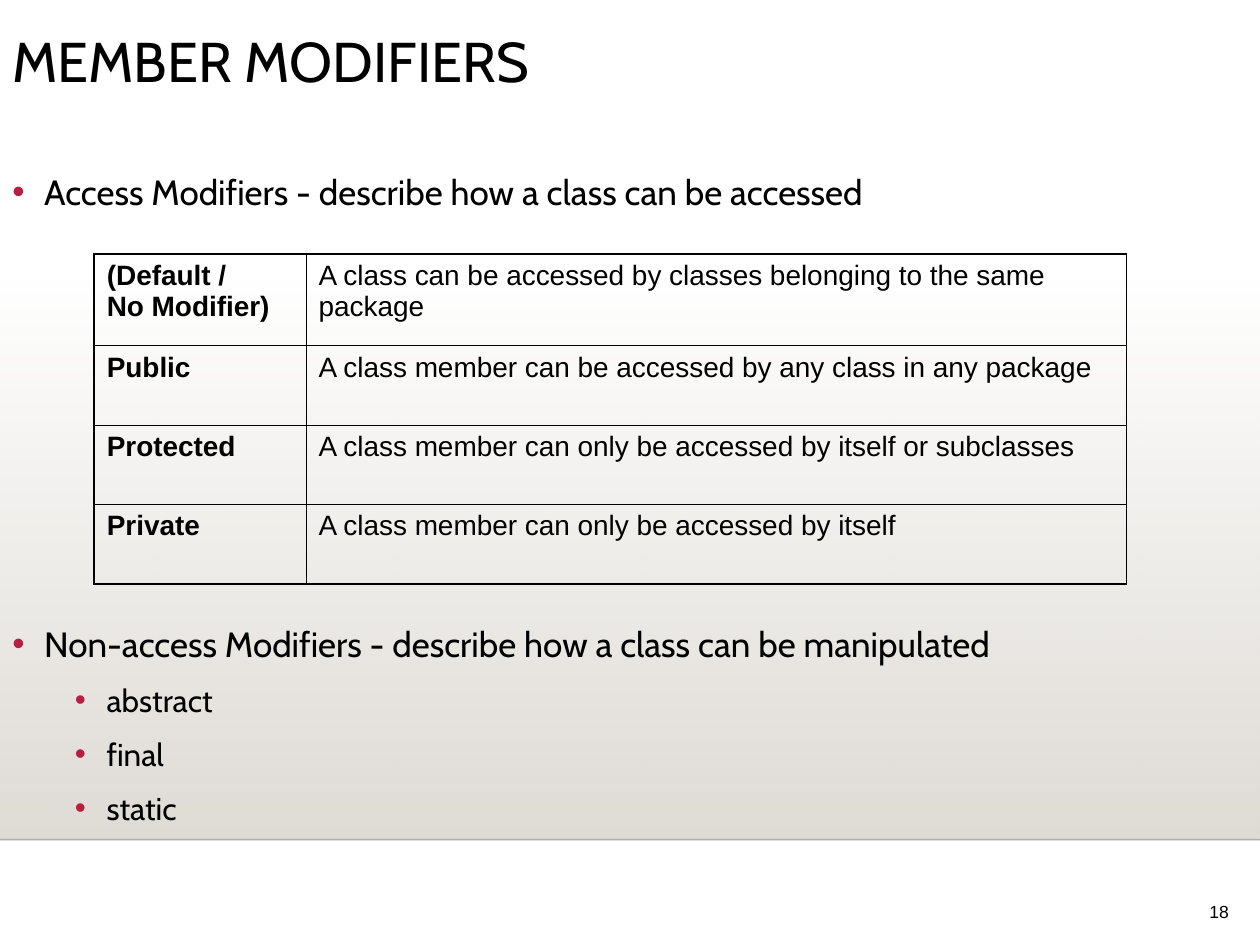
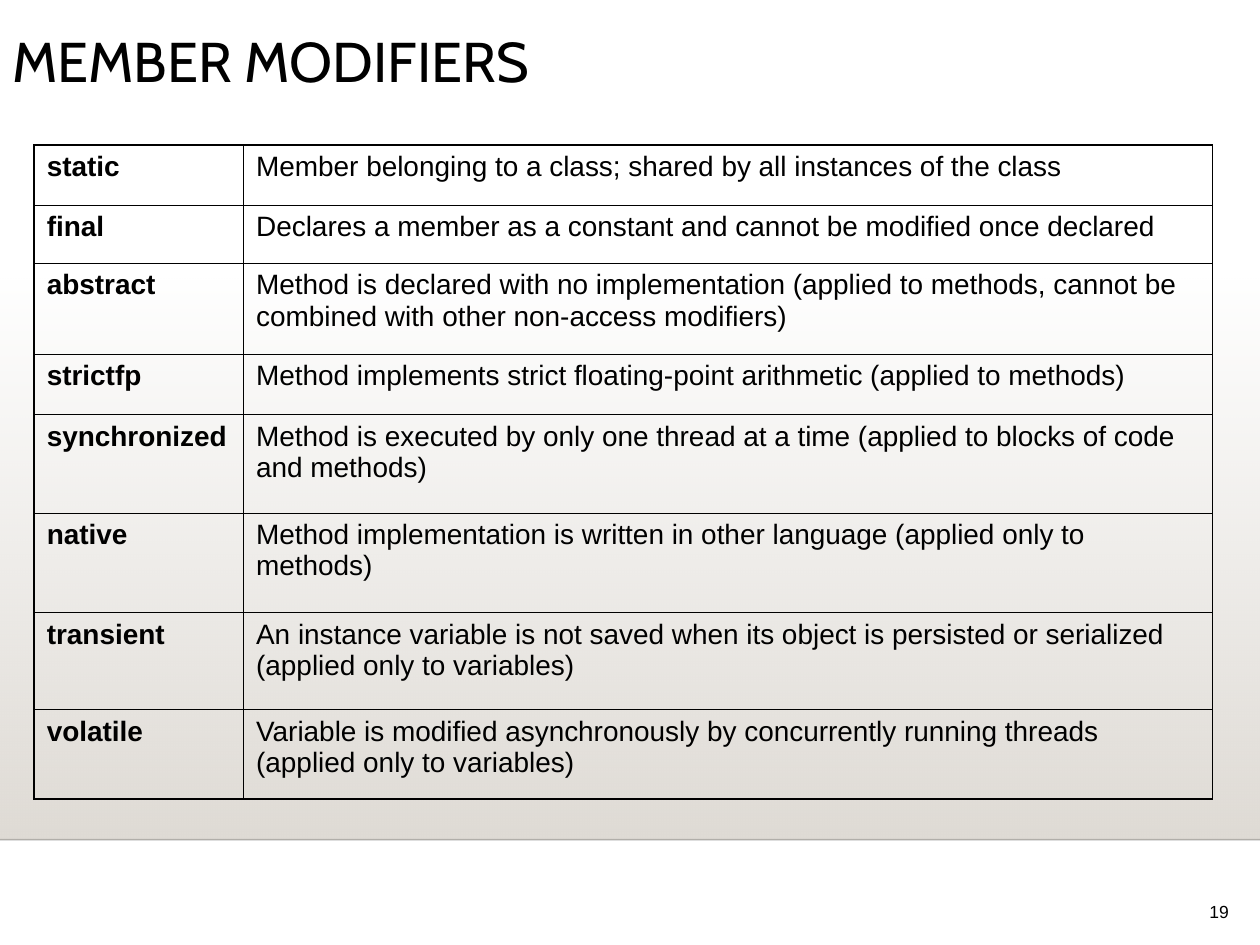
from dataclasses import dataclass

from lxml.etree import SubElement
from pptx import Presentation
from pptx.dml.color import RGBColor
from pptx.enum.shapes import MSO_CONNECTOR, MSO_SHAPE
from pptx.enum.text import MSO_ANCHOR, PP_ALIGN
from pptx.oxml import parse_xml
from pptx.oxml.ns import nsdecls, qn
from pptx.slide import Slide
from pptx.table import _Cell
from pptx.text.text import TextFrame, _Paragraph
from pptx.util import Cm, Length, Pt


@dataclass(frozen=True)
class Theme:
    text: str = "000000"
    bullet: str = "B71E42"
    band: str = "DFDBD5"
    rule: str = "000001"
    background: str = "FFFFFF"
    heading_font: str = "Cabin"
    table_font: str = "Arial"
    title_size: Length = Pt(32)
    cell_size: Length = Pt(16)
    number_size: Length = Pt(10)
    outer_border: Length = Pt(1.08)
    inner_border: Length = Pt(0.45)


@dataclass(frozen=True)
class BulletLevel:
    size: Length
    indent: Length
    space_before: Length


@dataclass(frozen=True)
class Frame:
    left: Length
    top: Length
    width: Length
    height: Length


@dataclass(frozen=True)
class TableRow:
    height: Length
    modifier: str
    meaning: str


@dataclass(frozen=True)
class ModifierTable:
    left: Length
    top: Length
    column_widths: tuple[Length, Length]
    rows: tuple[TableRow, ...]


THEME = Theme()
PAGE_WIDTH, PAGE_HEIGHT = Cm(25.4), Cm(19.05)
BAND_TOP, BAND_BOTTOM = Cm(5.6), Cm(16.93)
HANGING = Cm(0.64)
LEVELS = (
    BulletLevel(Pt(20), Cm(0.64), Pt(10)),
    BulletLevel(Pt(18), Cm(1.9), Pt(5)),
)

ACCESS_TABLE = ModifierTable(Cm(1.9), Cm(5.12), (Cm(4.27), Cm(16.54)), (
    TableRow(Cm(1.85), "(Default / \nNo Modifier)",
             "A class can be accessed by classes belonging to the same package"),
    TableRow(Cm(1.6), "Public", "A class member can be accessed by any class in any package"),
    TableRow(Cm(1.6), "Protected", "A class member can only be accessed by itself or subclasses"),
    TableRow(Cm(1.6), "Private", "A class member can only be accessed by itself"),
))

NON_ACCESS_TABLE = ModifierTable(Cm(0.69), Cm(2.92), (Cm(4.22), Cm(19.53)), (
    TableRow(Cm(1.22), "static",
             "Member belonging to a class; shared by all instances of the class"),
    TableRow(Cm(1.17), "final",
             "Declares a member as a constant and cannot be modified once declared"),
    TableRow(Cm(1.83), "abstract",
             "Method is declared with no implementation (applied to methods, "
             "cannot be combined with other non-access modifiers)"),
    TableRow(Cm(1.22), "strictfp",
             "Method implements strict floating-point arithmetic (applied to methods)"),
    TableRow(Cm(1.98), "synchronized",
             "Method is executed by only one thread at a time "
             "(applied to blocks of code and methods)"),
    TableRow(Cm(2.01), "native",
             "Method implementation is written in other language (applied only to methods)"),
    TableRow(Cm(1.96), "transient",
             "An instance variable is not saved when its object is persisted "
             "or serialized (applied only to variables)"),
    TableRow(Cm(1.8), "volatile",
             "Variable is modified asynchronously by concurrently running threads "
             "(applied only to variables)"),
))


# Text
def add_span(para: _Paragraph, text: str, font: str, size: Length, bold: bool = False) -> None:
    for index, line in enumerate(text.split("\n")):
        if index:
            para.add_line_break()
        span = para.add_run()
        span.text = line
        span.font.name = font
        span.font.size = size
        span.font.bold = bold
        span.font.color.rgb = RGBColor.from_string(THEME.text)


def add_text_box(page: Slide, frame: Frame, anchor: MSO_ANCHOR = MSO_ANCHOR.TOP) -> TextFrame:
    box = page.shapes.add_textbox(frame.left, frame.top, frame.width, frame.height)
    box.text_frame.word_wrap = True
    box.text_frame.vertical_anchor = anchor
    return box.text_frame


def add_bullets(page: Slide, frame: Frame, items: tuple[tuple[int, str], ...]) -> None:
    body = add_text_box(page, frame)
    for index, (depth, text) in enumerate(items):
        level = LEVELS[depth]
        para = body.add_paragraph() if index else body.paragraphs[0]
        para.level = depth
        para.line_spacing = 1.2
        para.space_before = level.space_before
        properties = para._p.get_or_add_pPr()
        properties.set("marL", str(level.indent))
        properties.set("indent", str(-HANGING))
        colour = SubElement(properties, qn("a:buClr"))
        SubElement(colour, qn("a:srgbClr"), val=THEME.bullet)
        SubElement(properties, qn("a:buFont"), typeface=THEME.table_font)
        SubElement(properties, qn("a:buChar"), char="•")
        add_span(para, text, THEME.heading_font, level.size)


# Shared page furniture
def add_band(page: Slide) -> None:
    band = page.shapes.add_shape(
        MSO_SHAPE.RECTANGLE, 0, BAND_TOP, PAGE_WIDTH, BAND_BOTTOM - BAND_TOP)
    band.shadow.inherit = False
    band.line.fill.background()
    gradient = parse_xml(
        f'<a:gradFill {nsdecls("a")} rotWithShape="1"><a:gsLst>'
        f'<a:gs pos="0"><a:srgbClr val="{THEME.band}"><a:alpha val="0"/></a:srgbClr></a:gs>'
        f'<a:gs pos="100000"><a:srgbClr val="{THEME.band}"/></a:gs>'
        '</a:gsLst><a:lin ang="5400000" scaled="0"/></a:gradFill>')
    band._element.spPr.find(qn("a:prstGeom")).addnext(gradient)


def add_rule(page: Slide) -> None:
    rule = page.shapes.add_connector(
        MSO_CONNECTOR.STRAIGHT, 0, BAND_BOTTOM, PAGE_WIDTH, BAND_BOTTOM)
    rule.line.width = Pt(1)
    rule.line.color.rgb = RGBColor.from_string(THEME.rule)
    properties = rule._element.spPr
    SubElement(next(properties.iter(qn("a:srgbClr"))), qn("a:alpha"), val="20000")
    SubElement(properties, qn("a:effectLst"))


def add_page(deck: Presentation, title: str, number: int) -> Slide:
    page = deck.slides.add_slide(deck.slide_layouts[6])
    page.background.fill.solid()
    page.background.fill.fore_color.rgb = RGBColor.from_string(THEME.background)
    add_band(page)
    add_rule(page)

    number_frame = Frame(Cm(20.32), Cm(17.98), Cm(4.7), Cm(0.74))
    para = add_text_box(page, number_frame, MSO_ANCHOR.BOTTOM).paragraphs[0]
    para.alignment = PP_ALIGN.RIGHT
    add_span(para, str(number), THEME.table_font, THEME.number_size)

    title_frame = Frame(Cm(0), Cm(0.56), Cm(22.66), Cm(2.54))
    para = add_text_box(page, title_frame).paragraphs[0]
    para.line_spacing = 0.9
    add_span(para, title, THEME.heading_font, THEME.title_size)
    return page


# Tables
def set_borders(cell: _Cell, outer_sides: dict[str, bool]) -> None:
    properties = cell._tc.get_or_add_tcPr()
    for side, is_outer in outer_sides.items():
        width = THEME.outer_border if is_outer else THEME.inner_border
        border = SubElement(properties, qn(f"a:ln{side}"), w=str(width))
        fill = SubElement(border, qn("a:solidFill"))
        SubElement(fill, qn("a:srgbClr"), val=THEME.text)


def add_modifier_table(page: Slide, layout: ModifierTable) -> None:
    widths, rows = layout.column_widths, layout.rows
    table = page.shapes.add_table(
        len(rows), len(widths), layout.left, layout.top,
        sum(widths), sum(row.height for row in rows)).table
    table.first_row = False
    table.horz_banding = False
    for column, width in zip(table.columns, widths):
        column.width = width
    for row_index, row in enumerate(rows):
        table.rows[row_index].height = row.height
        for column_index, text in enumerate((row.modifier, row.meaning)):
            cell = table.cell(row_index, column_index)
            is_label = column_index == 0
            set_borders(cell, {
                "L": is_label,
                "R": not is_label,
                "T": row_index == 0,
                "B": row_index == len(rows) - 1,
            })
            cell.fill.background()
            para = cell.text_frame.paragraphs[0]
            para.space_before = Pt(4)
            add_span(para, text, THEME.table_font, THEME.cell_size, bold=is_label)


def main() -> None:
    deck = Presentation()
    deck.slide_width, deck.slide_height = PAGE_WIDTH, PAGE_HEIGHT

    # Access modifiers
    page = add_page(deck, "MEMBER MODIFIERS", 18)
    add_bullets(page, Frame(Cm(0), Cm(3.14), Cm(23.5), Cm(1.4)), (
        (0, "Access Modifiers - describe how a class can be accessed"),
    ))
    add_bullets(page, Frame(Cm(0), Cm(12.26), Cm(23.5), Cm(4.65)), (
        (0, "Non-access Modifiers - describe how a class can be manipulated"),
        (1, "abstract"),
        (1, "final"),
        (1, "static"),
    ))
    add_modifier_table(page, ACCESS_TABLE)

    # Non-access modifiers
    page = add_page(deck, "MEMBER MODIFIERS", 19)
    add_modifier_table(page, NON_ACCESS_TABLE)

    deck.save("out.pptx")


if __name__ == "__main__":
    main()
